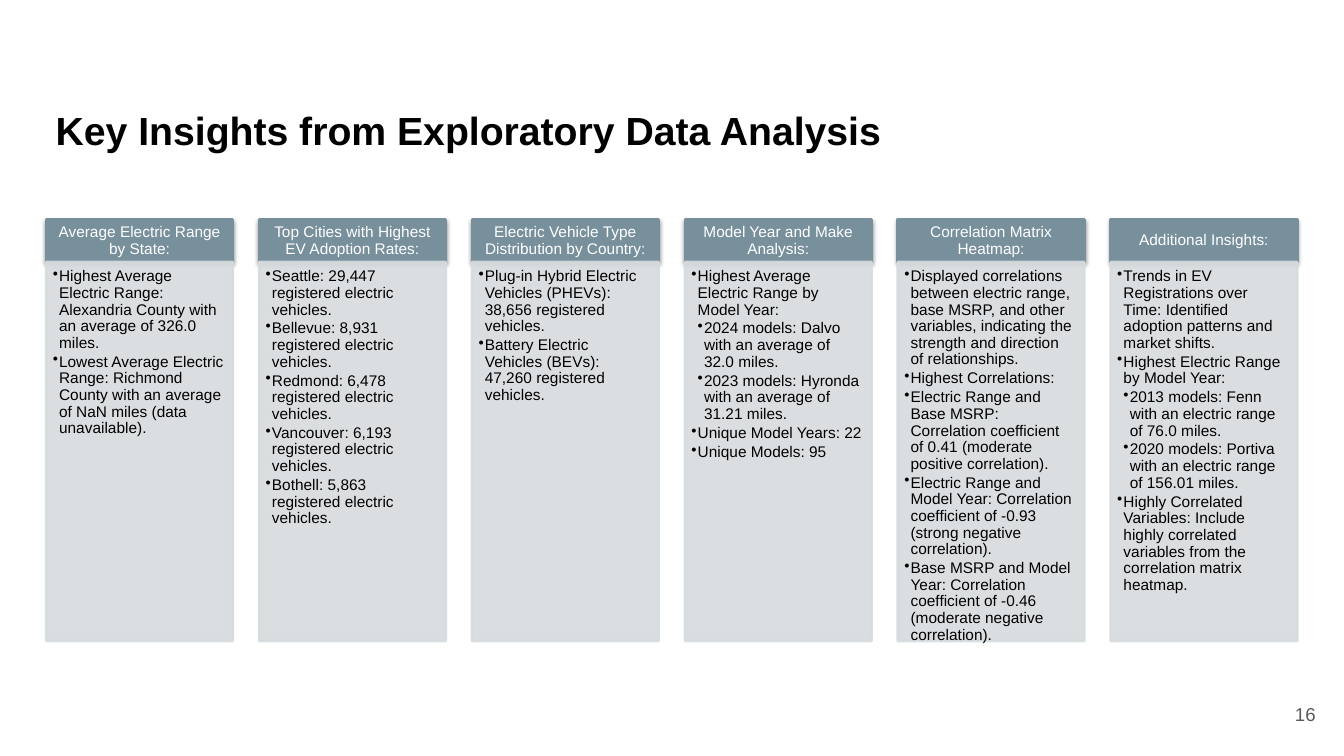
from pptx import Presentation
from pptx.dml.color import RGBColor
from pptx.enum.shapes import MSO_SHAPE as SHAPE
from pptx.enum.text import MSO_ANCHOR as ANCHOR, PP_ALIGN as ALIGN
from pptx.oxml.ns import qn
from pptx.util import Pt
from lxml.etree import SubElement as Sub

COLORS = {
    "head": "78909C",
    "body": "D6DBDE",
    "black": "000000",
    "white": "FFFFFF",
    "number": "595959",
}
LEFT, TOP, STEP, WIDTH = 33.1, 157, 152.06, 133.2
HEAD, BODY = 30.2, 270.7

# Each column is a heading and its points, given as (level, text)
COLUMNS = [
    ("Average Electric Range by State:", [
        (1, "Highest Average Electric Range: Alexandria County with an average of 326.0 miles."),
        (1, "Lowest Average Electric Range: Richmond County with an average of NaN miles "
            "(data unavailable)."),
    ]),
    ("Top Cities with Highest EV Adoption Rates:", [
        (1, "Seattle: 29,447 registered electric vehicles."),
        (1, "Bellevue: 8,931 registered electric vehicles."),
        (1, "Redmond: 6,478 registered electric vehicles."),
        (1, "Vancouver: 6,193 registered electric vehicles."),
        (1, "Bothell: 5,863 registered electric vehicles."),
    ]),
    ("Electric Vehicle Type Distribution by Country:", [
        (1, "Plug-in Hybrid Electric Vehicles (PHEVs): 38,656 registered vehicles."),
        (1, "Battery Electric Vehicles (BEVs): 47,260 registered vehicles."),
    ]),
    ("Model Year and Make Analysis:", [
        (1, "Highest Average Electric Range by Model Year:"),
        (2, "2024 models: Dalvo with an average of 32.0 miles."),
        (2, "2023 models: Hyronda with an average of 31.21 miles."),
        (1, "Unique Model Years: 22"),
        (1, "Unique Models: 95"),
    ]),
    ("Correlation Matrix Heatmap:", [
        (1, "Displayed correlations between electric range, base MSRP, and other variables, "
            "indicating the strength and direction of relationships."),
        (1, "Highest Correlations:"),
        (1, "Electric Range and Base MSRP: Correlation coefficient of 0.41 "
            "(moderate positive correlation)."),
        (1, "Electric Range and Model Year: Correlation coefficient of -0.93 "
            "(strong negative correlation)."),
        (1, "Base MSRP and Model Year: Correlation coefficient of -0.46 "
            "(moderate negative correlation)."),
    ]),
    ("Additional Insights:", [
        (1, "Trends in EV Registrations over Time: Identified adoption patterns and "
            "market shifts."),
        (1, "Highest Electric Range by Model Year:"),
        (2, "2013 models: Fenn with an electric range of 76.0 miles."),
        (2, "2020 models: Portiva with an electric range of 156.01 miles."),
        (1, "Highly Correlated Variables: Include highly correlated variables from the "
            "correlation matrix heatmap."),
    ]),
]


def rgb(name):
    return RGBColor.from_string(COLORS[name])


def bullet(para, level):
    para.level = level
    props = para._p.get_or_add_pPr()
    props.set("marL", str(Pt(4.5 * level)))
    props.set("indent", str(Pt(-4.5)))
    Sub(props, qn("a:buChar"), char="•")


def write(shape, items, size=11, color="black", bold=False, align=ALIGN.LEFT,
          anchor=ANCHOR.TOP, insets=(7.2, 7.2, 7.2, 7.2), line=None, after=0):
    """Fill a shape with (level, text) items; level 0 has no bullet."""
    frame = shape.text_frame
    frame.word_wrap = True
    frame.vertical_anchor = anchor
    (frame.margin_left, frame.margin_top,
     frame.margin_right, frame.margin_bottom) = map(Pt, insets)
    for i, (level, text) in enumerate(items):
        para = frame.add_paragraph() if i else frame.paragraphs[0]
        para.alignment = align
        para.line_spacing = line
        para.space_after = Pt(after)
        if level:
            bullet(para, level)
        run = para.add_run()
        run.text = text
        font = run.font
        font.name, font.size, font.bold = "Arial", Pt(size), bold
        font.color.rgb = rgb(color)


def label(slide, box, text, **style):
    write(slide.shapes.add_textbox(*map(Pt, box)), [(0, text)], **style)


def panel(slide, box, color):
    shape = slide.shapes.add_shape(SHAPE.RECTANGLE, *map(Pt, box))
    shape.shadow.inherit = False
    shape.fill.solid()
    shape.fill.fore_color.rgb = rgb(color)
    shape.line.color.rgb = rgb(color)
    shape.line.width = Pt(2)
    return shape


def fade(shape, percent):
    """Set the opacity of fill and line."""
    for node in shape._element.spPr.iter(qn("a:srgbClr")):
        Sub(node, qn("a:alpha"), val=str(percent * 1000))


def shade(shape):
    """Drop a soft shadow straight down."""
    effects = shape._element.spPr.find(qn("a:effectLst"))
    outer = Sub(effects, qn("a:outerShdw"), blurRad=str(Pt(3.1)), dist=str(Pt(1.6)),
                dir="5400000", rotWithShape="0")
    tint = Sub(outer, qn("a:srgbClr"), val=COLORS["black"])
    Sub(tint, qn("a:alpha"), val="38000")


def column(slide, x, title, points):
    head = panel(slide, (x, TOP, WIDTH, HEAD), "head")
    shade(head)
    write(head, [(0, title)], color="white", align=ALIGN.CENTER, anchor=ANCHOR.MIDDLE,
          insets=(6.2, 3.5, 6.2, 3.5), line=0.9, after=3.85)
    body = panel(slide, (x, TOP + HEAD, WIDTH, BODY), "body")
    fade(body, 90)
    write(body, points, insets=(4.6, 4.6, 6.2, 7), line=0.9, after=1.65)


def main():
    deck = Presentation()
    deck.slide_width, deck.slide_height = Pt(960), Pt(540)
    slide = deck.slides.add_slide(deck.slide_layouts[6])
    label(slide, (32.7, 68.4, 894.5, 60.5), "Key Insights from Exploratory Data Analysis",
          size=28, bold=True)
    label(slide, (889.3, 489.6, 57.6, 41), "16", size=13.3, color="number",
          align=ALIGN.RIGHT, anchor=ANCHOR.MIDDLE, after=6)
    for i, (title, points) in enumerate(COLUMNS):
        column(slide, LEFT + i * STEP, title, points)
    deck.save("out.pptx")


if __name__ == "__main__":
    main()
